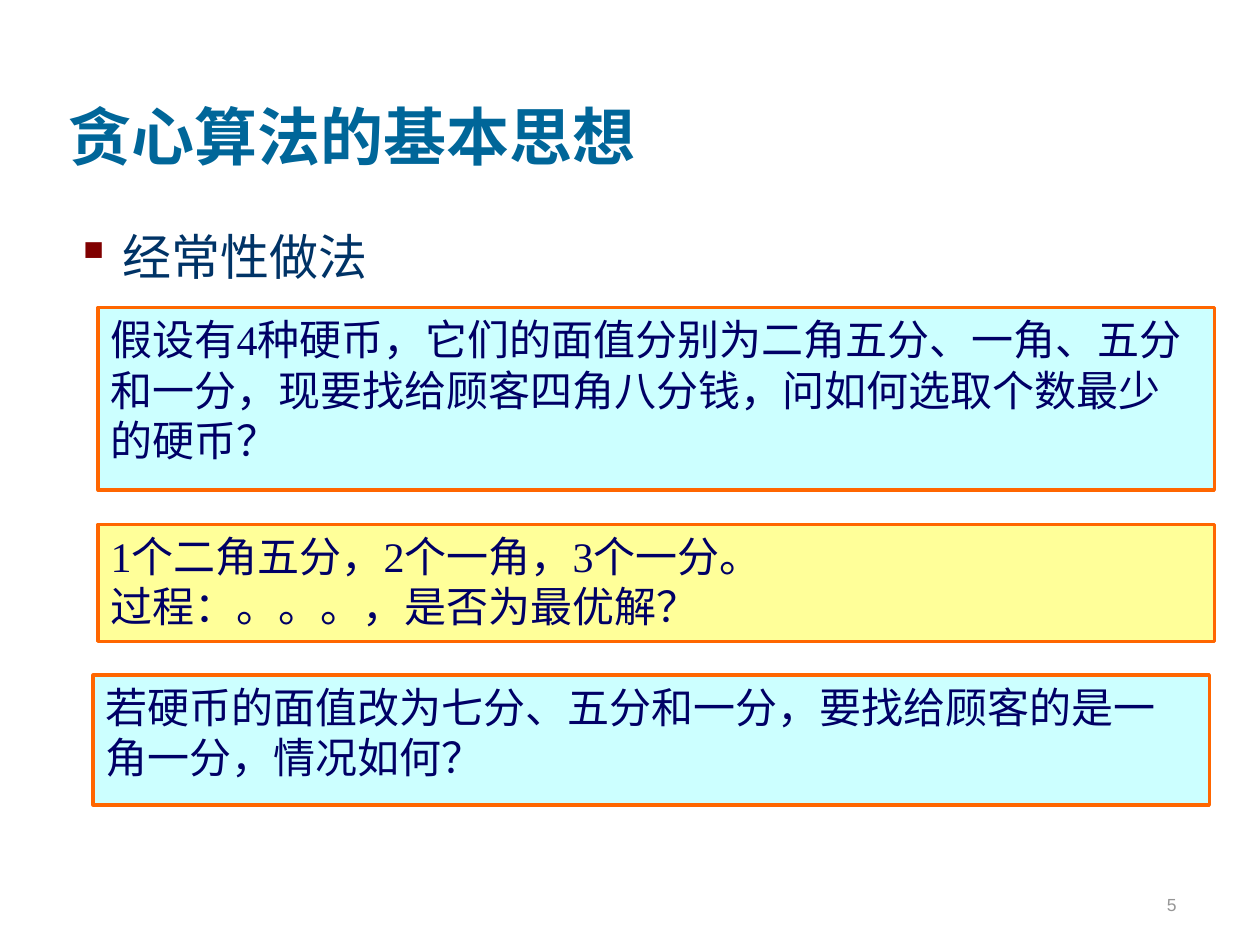
from dataclasses import dataclass

from lxml import etree
from pptx import Presentation
from pptx import util as u
from pptx.dml.color import RGBColor
from pptx.enum import shapes, text
from pptx.oxml.ns import qn


@dataclass(frozen=True)
class Panel:
    left: float
    top: float
    height: float
    fill: str
    lines: tuple[str, ...]


PANEL_WIDTH = 22.5
PANELS = (
    Panel(1.98, 6.2, 3.68, "CCFFFF",
          ("假设有4种硬币，它们的面值分别为二角五分、一角、五分和一分，"
           "现要找给顾客四角八分钱，问如何选取个数最少的硬币？",)),
    Panel(1.98, 10.57, 2.36, "FFFF99",
          ("1个二角五分，2个一角，3个一分。", "过程：。。。，是否为最优解？")),
    Panel(1.88, 13.61, 2.62, "CCFFFF",
          ("若硬币的面值改为七分、五分和一分，要找给顾客的是一角一分，情况如何？",)),
)

TITLE_FONT = dict(name="Times New Roman", size=u.Pt(36), bold=True)
BULLET_FONT = dict(name="Cambria", size=u.Pt(28))
NUMBER_FONT = dict(name="Arial", size=u.Pt(10))
PANEL_FONT = dict(name="Times New Roman", size=u.Pt(24))


def rgb(value: str) -> RGBColor:
    return RGBColor.from_string(value)


def place(shape, left: float, top: float, width: float, height: float) -> None:
    shape.left, shape.top = u.Cm(left), u.Cm(top)
    shape.width, shape.height = u.Cm(width), u.Cm(height)


def write(shape, lines: tuple[str, ...], font: dict, color: str,
          anchor=text.MSO_ANCHOR.TOP, align=text.PP_ALIGN.LEFT) -> None:
    frame = shape.text_frame
    frame.word_wrap = True
    frame.auto_size = text.MSO_AUTO_SIZE.NONE
    frame.vertical_anchor = anchor
    frame.text = "\n".join(lines)
    for paragraph in frame.paragraphs:
        paragraph.alignment = align
        run_font = paragraph.runs[0].font
        for key, value in font.items():
            setattr(run_font, key, value)
        run_font.color.rgb = rgb(color)


def add_bullet(paragraph, mark: str, color: str, indent: float) -> None:
    properties = paragraph._p.get_or_add_pPr()
    properties.set("marL", str(u.Cm(indent)))
    properties.set("indent", str(-u.Cm(indent)))
    bullet_color = etree.SubElement(properties, qn("a:buClr"))
    etree.SubElement(bullet_color, qn("a:srgbClr"), val=color)
    etree.SubElement(properties, qn("a:buChar"), char=mark)


def add_panel(slide, panel: Panel) -> None:
    box = slide.shapes.add_shape(shapes.MSO_SHAPE.RECTANGLE, 0, 0, 0, 0)
    place(box, panel.left, panel.top, PANEL_WIDTH, panel.height)
    box.shadow.inherit = False
    box.fill.solid()
    box.fill.fore_color.rgb = rgb(panel.fill)
    box.line.color.rgb = rgb("FF6600")
    box.line.width = u.Pt(2)
    write(box, panel.lines, PANEL_FONT, "000066")


def main() -> None:
    deck = Presentation()
    deck.slide_width, deck.slide_height = u.Cm(25.4), u.Cm(19.05)
    slide = deck.slides.add_slide(deck.slide_layouts.get_by_name("Title Only"))

    title = slide.shapes.title
    place(title, 1.12, 0.43, 21.59, 3.18)
    write(title, ("贪心算法的基本思想",), TITLE_FONT, "006699", text.MSO_ANCHOR.BOTTOM)

    practice = slide.shapes.add_textbox(0, 0, 0, 0)
    place(practice, 1.27, 4.45, 22.7, 12.4)
    write(practice, ("经常性做法",), BULLET_FONT, "003366")
    heading = practice.text_frame.paragraphs[0]
    heading.space_before = u.Pt(7)
    add_bullet(heading, "▪", "800000", 0.95)

    page_number = slide.shapes.add_textbox(0, 0, 0, 0)
    place(page_number, 18.69, 17.3, 5.28, 1.27)
    write(page_number, ("5",), NUMBER_FONT, "969696",
          text.MSO_ANCHOR.BOTTOM, text.PP_ALIGN.RIGHT)

    for panel in PANELS:
        add_panel(slide, panel)

    deck.save("out.pptx")


if __name__ == "__main__":
    main()
